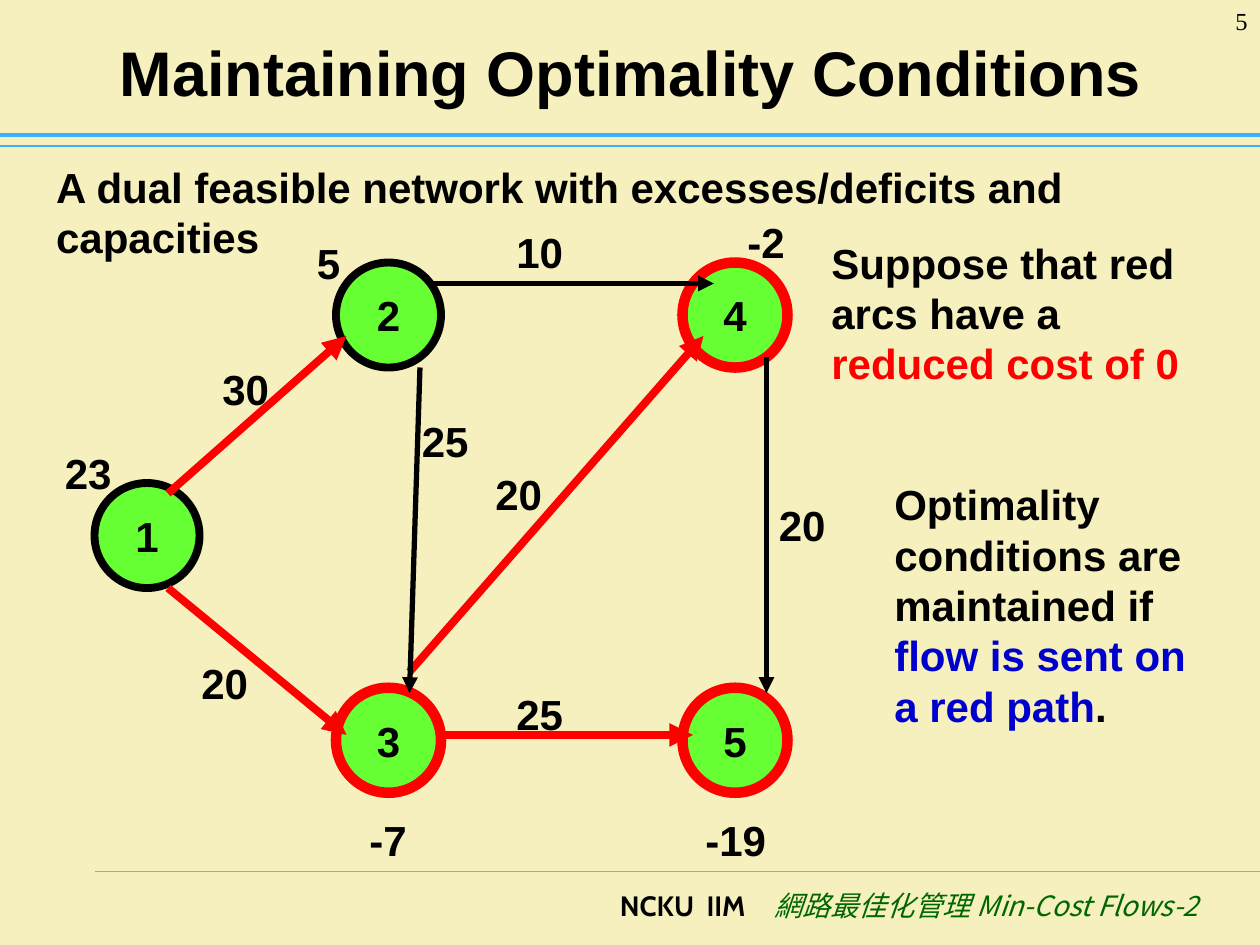
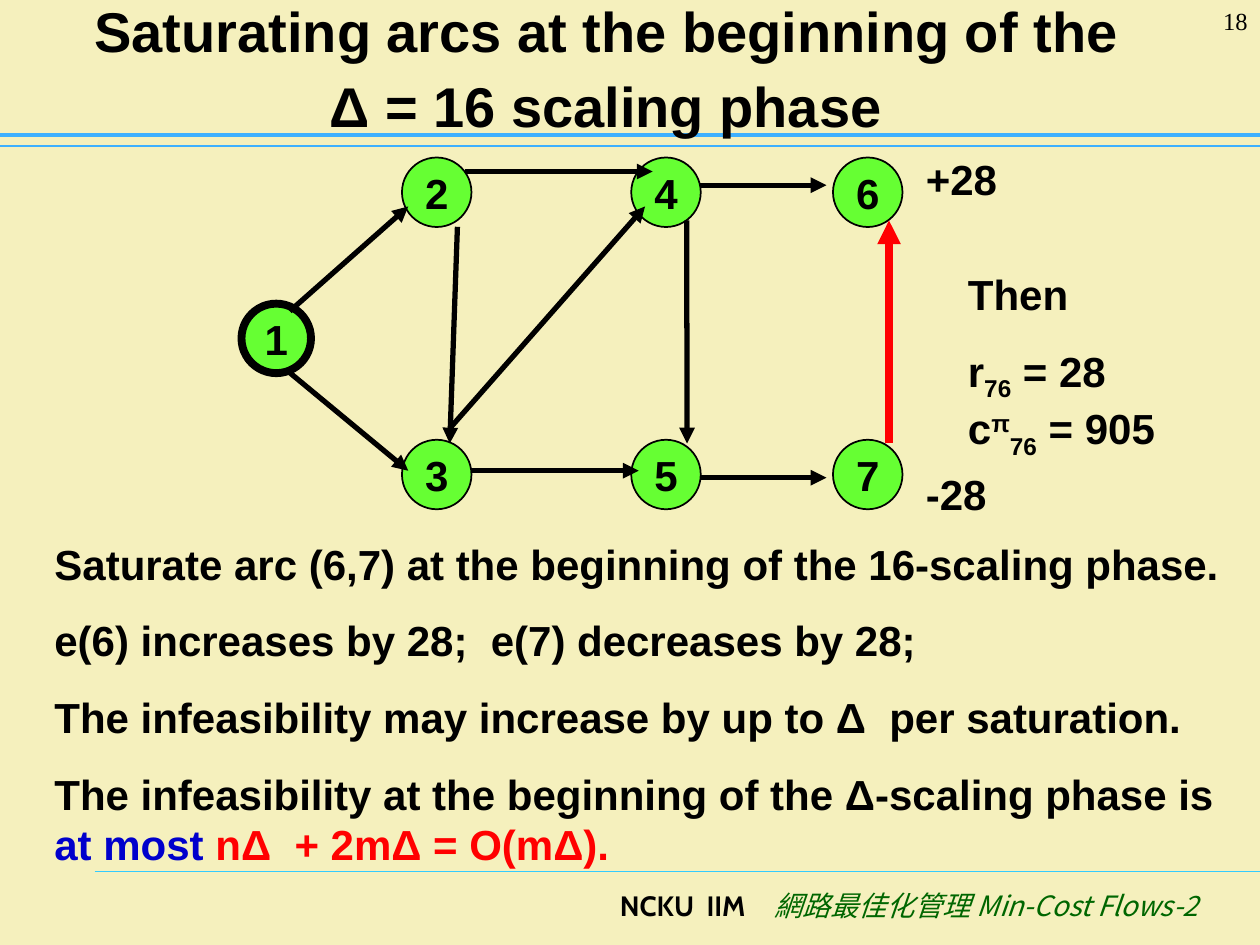
from copy import deepcopy
from dataclasses import dataclass

from lxml import etree
from pptx import Presentation
from pptx.dml.color import RGBColor
from pptx.enum.shapes import MSO_CONNECTOR, MSO_SHAPE
from pptx.enum.text import MSO_ANCHOR, MSO_AUTO_SIZE, PP_ALIGN
from pptx.oxml.ns import qn
from pptx.util import Pt

STRAIGHT = MSO_CONNECTOR.STRAIGHT
OVAL = MSO_SHAPE.OVAL
MIDDLE = MSO_ANCHOR.MIDDLE
LEFT, CENTER, RIGHT = PP_ALIGN.LEFT, PP_ALIGN.CENTER, PP_ALIGN.RIGHT
FIXED, GROW = MSO_AUTO_SIZE.NONE, MSO_AUTO_SIZE.SHAPE_TO_FIT_TEXT
TITLE_ONLY = 5


@dataclass(frozen=True)
class Theme:
    background: str = "F5F0BD"
    ink: str = "000000"
    red: str = "FF0000"
    blue: str = "0000CC"
    green: str = "006600"
    node_fill: str = "66FF33"
    header_rule: str = "3DB0FF"
    footer_rule: str = "33CCFF"
    font: str = "Arial"
    footer_font: str = "Cabin"
    course_font: str = "Noto Sans CJK SC"
    number_font: str = "Times New Roman"
    title_size: float = 36
    long_title_size: float = 32
    body_size: float = 24
    footer_size: float = 16
    number_size: float = 14
    paragraph_gap: float = 15
    thin_arc: float = 3
    thick_arc: float = 4.5


THEME = Theme()


@dataclass(frozen=True)
class Span:
    """A stretch of text in one format; baseline and tracking are in OOXML units."""
    text: str
    color: str = THEME.ink
    size: float = THEME.body_size
    font: str = THEME.font
    bold: bool = True
    italic: bool = False
    baseline: int = 0
    tracking: int = 0


@dataclass(frozen=True)
class Box:
    left: float
    top: float
    width: float
    height: float

    def lengths(self) -> tuple:
        return Pt(self.left), Pt(self.top), Pt(self.width), Pt(self.height)


@dataclass(frozen=True)
class Note:
    box: Box
    paragraphs: tuple


@dataclass(frozen=True)
class Node:
    label: str
    left: float
    top: float
    outline: str = THEME.ink
    weight: float = THEME.thick_arc


@dataclass(frozen=True)
class Arc:
    x1: float
    y1: float
    x2: float
    y2: float
    color: str = THEME.ink
    weight: float = THEME.thin_arc


@dataclass(frozen=True)
class Network:
    diameter: float
    nodes: tuple
    arcs: tuple


def rgb(value: str) -> RGBColor:
    return RGBColor.from_string(value)


def add_span(paragraph, span: Span) -> None:
    for index, line in enumerate(span.text.split("\n")):
        if index:
            paragraph.add_line_break()
            paragraph._p[-1].append(deepcopy(properties))
        run = paragraph.add_run()
        run.text = line
        formats = {"size": Pt(span.size), "name": span.font,
                   "bold": span.bold, "italic": span.italic}
        for name, value in formats.items():
            setattr(run.font, name, value)
        run.font.color.rgb = rgb(span.color)
        properties = run._r.get_or_add_rPr()
        etree.SubElement(properties, qn("a:ea"), typeface=span.font)
        for name, value in {"baseline": span.baseline, "spc": span.tracking}.items():
            if value:
                properties.set(name, str(value))


def write(frame, paragraphs: tuple, align=LEFT, **frame_formats) -> None:
    for name, value in {"word_wrap": True, "auto_size": FIXED, **frame_formats}.items():
        setattr(frame, name, value)
    for index, spans in enumerate(paragraphs):
        paragraph = frame.add_paragraph() if index else frame.paragraphs[0]
        paragraph.alignment = align
        paragraph.space_before = Pt(THEME.paragraph_gap if index else 0)
        for span in spans:
            add_span(paragraph, span)


def add_text(slide, box: Box, paragraphs: tuple, align=LEFT, auto_size=FIXED):
    text_box = slide.shapes.add_textbox(*box.lengths())
    write(text_box.text_frame, paragraphs, align, auto_size=auto_size)
    return text_box


def add_line(slide, arc: Arc, arrow: bool = True):
    line = slide.shapes.add_connector(
        STRAIGHT, Pt(arc.x1), Pt(arc.y1), Pt(arc.x2), Pt(arc.y2))
    line.line.color.rgb = rgb(arc.color)
    line.line.width = Pt(arc.weight)
    if arrow:
        etree.SubElement(line.line._get_or_add_ln(), qn("a:tailEnd"), type="triangle")
    etree.SubElement(line.element.spPr, qn("a:effectLst"))
    return line


def add_node(slide, node: Node, diameter: float) -> None:
    circle = slide.shapes.add_shape(
        OVAL, *Box(node.left, node.top, diameter, diameter).lengths())
    circle.shadow.inherit = False
    circle.fill.solid()
    circle.fill.fore_color.rgb = rgb(THEME.node_fill)
    circle.line.color.rgb = rgb(node.outline)
    circle.line.width = Pt(node.weight)
    write(circle.text_frame, ((Span(node.label),),), CENTER,
          word_wrap=False, vertical_anchor=MIDDLE)


def add_frame_to_master(prs, slide) -> None:
    """Draw the shared rules and footer, then move them to the slide master."""
    rules = (Arc(54, 498, 720, 498, THEME.footer_rule, 0.75),
             Arc(0, 83.5, 720, 83.5, THEME.header_rule, 0.75),
             Arc(0, 77, 720, 77, THEME.header_rule, 2.5))
    parts = [add_line(slide, rule, arrow=False) for rule in rules]
    footer = (Span("NCKU  IIM", size=THEME.footer_size, font=THEME.footer_font),
              Span(" ", size=THEME.footer_size, font=THEME.footer_font, tracking=1300),
              Span("網路最佳化管理 Min-Cost Flows-2", THEME.green, THEME.footer_size,
                   THEME.course_font, bold=False, italic=True))
    parts.append(add_text(slide, Box(132, 504, 560, 36), (footer,), RIGHT))
    for number, part in enumerate(parts, start=101):
        part.element.xpath(".//p:cNvPr")[0].set("id", str(number))
        prs.slide_master.shapes.element.append(part.element)


def add_slide(prs, title: tuple, title_box: Box, number: str,
              network: Network, notes: tuple):
    slide = prs.slides.add_slide(prs.slide_layouts[TITLE_ONLY])
    heading = slide.shapes.title
    heading.left, heading.top, heading.width, heading.height = title_box.lengths()
    write(heading.text_frame, (title,), CENTER, vertical_anchor=MIDDLE)
    for node in network.nodes:
        add_node(slide, node, network.diameter)
    for arc in network.arcs:
        add_line(slide, arc)
    for note in notes:
        add_text(slide, note.box, note.paragraphs, auto_size=GROW)
    page = Span(number, size=THEME.number_size, font=THEME.number_font, bold=False)
    add_text(slide, Box(660, 0, 60, 36), ((page,),), RIGHT)
    return slide


def label(text: str, left: float, top: float, width: float = 84) -> Note:
    return Note(Box(left, top, width, 36), ((Span(text),),))


def red_arc(*ends: float) -> Arc:
    return Arc(*ends, THEME.red, THEME.thick_arc)


def optimality_slide(prs):
    upper, lower = 150, 393
    network = Network(
        diameter=60,
        nodes=(Node("1", 54, 276), Node("2", 192, upper),
               Node("3", 192, lower, THEME.red, 6),
               Node("5", 390, lower, THEME.red, 6),
               Node("4", 390, upper, THEME.red, 6)),
        arcs=(red_arc(96, 282, 198, 192), Arc(246, 162, 408, 162),
              Arc(438, 204, 438, 396), red_arc(234, 384, 402, 192),
              red_arc(96, 336, 198, 420), red_arc(252, 420, 396, 420),
              Arc(240, 210, 234, 396)))
    capacities = (("10", 288, 126), ("20", 438, 282), ("20", 276, 264), ("25", 288, 390),
                  ("25", 234, 234), ("20", 108, 372), ("30", 120, 204))
    excesses = (("23", 30, 252), ("5", 174, 132), ("-2", 420, 120),
                ("-7", 204, 462), ("-19", 396, 462))
    explanations = (
        Note(Box(468, 132, 222, 94),
             ((Span("Suppose that red arcs have a"),
               Span(" reduced cost of 0", THEME.red)),)),
        Note(Box(25, 88.5, 657, 65),
             ((Span("A dual feasible network with excesses/deficits and capacities"),),)),
        Note(Box(504, 270, 186, 151),
             ((Span("Optimality conditions are maintained if "),
               Span("flow is sent on a red path", THEME.blue), Span(".")),)))
    notes = (*(label(*capacity) for capacity in capacities),
             *(label(*excess, width=54) for excess in excesses), *explanations)
    title = (Span("Maintaining Optimality Conditions", size=THEME.title_size),)
    return add_slide(prs, title, Box(36.5, 9.5, 648, 62.5), "5", network, notes)


def saturating_slide(prs):
    upper, lower = 90, 251.3
    columns = (229.7, 360.7, 476)
    pairs = (("2", "3"), ("4", "5"), ("6", "7"))
    network = Network(
        diameter=39.7,
        nodes=(Node("1", 138, 173.5),
               *(Node(name, left, top, weight=1)
                 for left, pair in zip(columns, pairs)
                 for name, top in zip(pair, (upper, lower)))),
        arcs=(Arc(165.6, 177.8, 233.3, 118), Arc(265.7, 98, 373, 98),
              Arc(392.4, 126, 392.6, 253.4), Arc(257, 244.8, 368.6, 118),
              Arc(165.6, 213, 233.3, 269), Arc(269.3, 269, 365, 269),
              Arc(261.4, 129.6, 257, 253.4), red_arc(508, 253.4, 508, 126),
              Arc(400.3, 105.8, 472.3, 105.8), Arc(400.3, 273, 472.3, 273)))
    subscript = Span("76", baseline=-25000)
    notes = (
        Note(Box(24, 304, 696, 196.5),
             ((Span("Saturate arc (6,7) at the beginning of the 16-scaling phase."),),
              (Span("e(6) increases by 28;  e(7) decreases by 28;"),),
              (Span("The infeasibility may increase by up to Δ  per saturation."),),
              (Span("The infeasibility at the beginning of the Δ-scaling phase is "),
               Span("at most ", THEME.blue), Span("nΔ  + 2mΔ = O(mΔ).", THEME.red)))),
        Note(Box(546, 150, 156, 116.5),
             ((Span("Then"),),
              (Span("r"), subscript, Span(" = 28\nc"), Span("π", baseline=30000),
               subscript, Span(" = 905")))),
        label("+28", 522, 84, 78),
        label("-28", 522, 264, 78))
    title = (Span("Saturating arcs at the beginning of the \nΔ = 16 scaling phase",
                  size=THEME.long_title_size),
             Span(" ", size=THEME.title_size))
    return add_slide(prs, title, Box(25, 0, 652.5, 78), "18", network, notes)


def main() -> None:
    prs = Presentation()
    prs.slide_width, prs.slide_height = Pt(720), Pt(540)
    background = prs.slide_master.background.fill
    background.solid()
    background.fore_color.rgb = rgb(THEME.background)
    first_slide = optimality_slide(prs)
    add_frame_to_master(prs, first_slide)
    saturating_slide(prs)
    prs.save("out.pptx")


if __name__ == "__main__":
    main()
